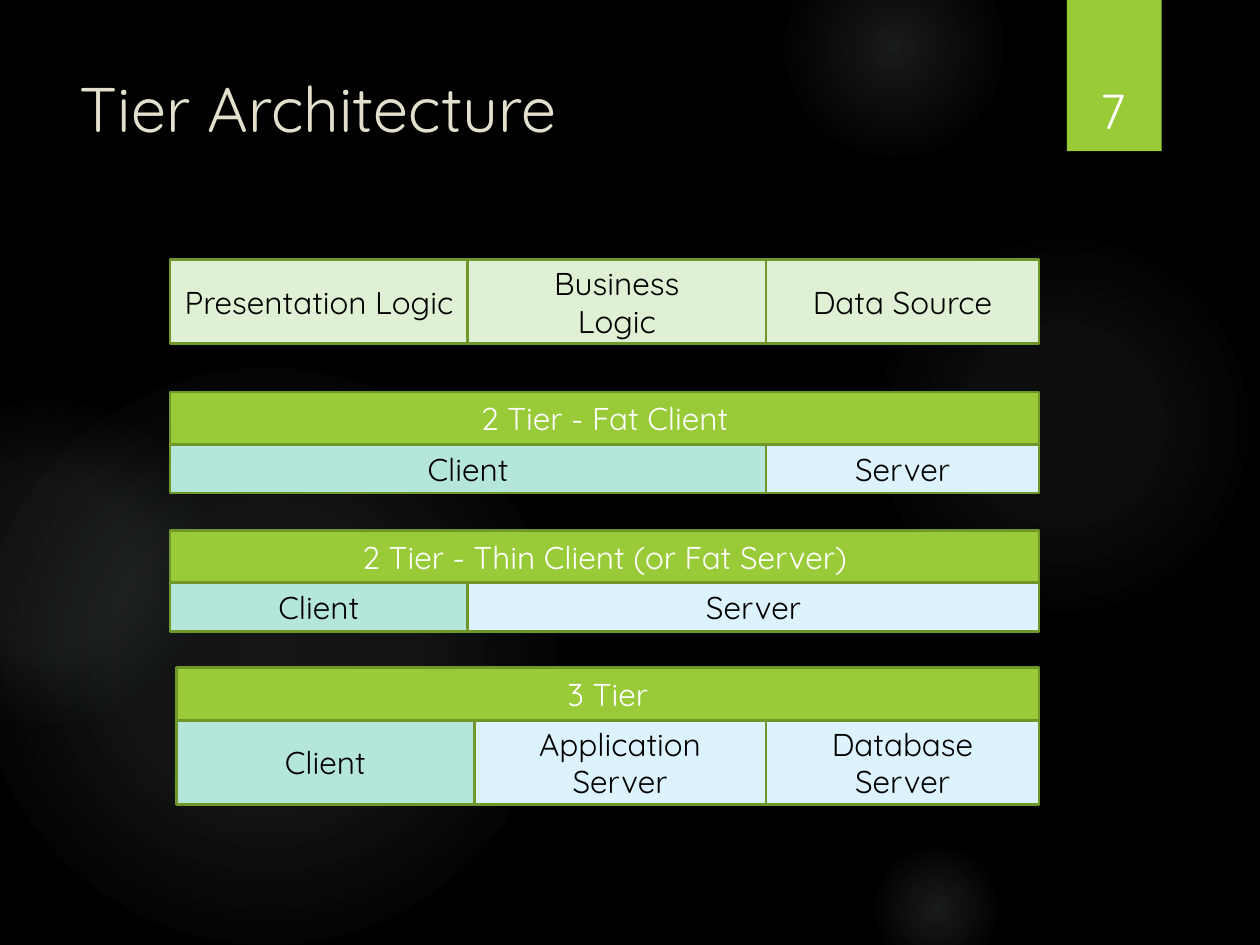
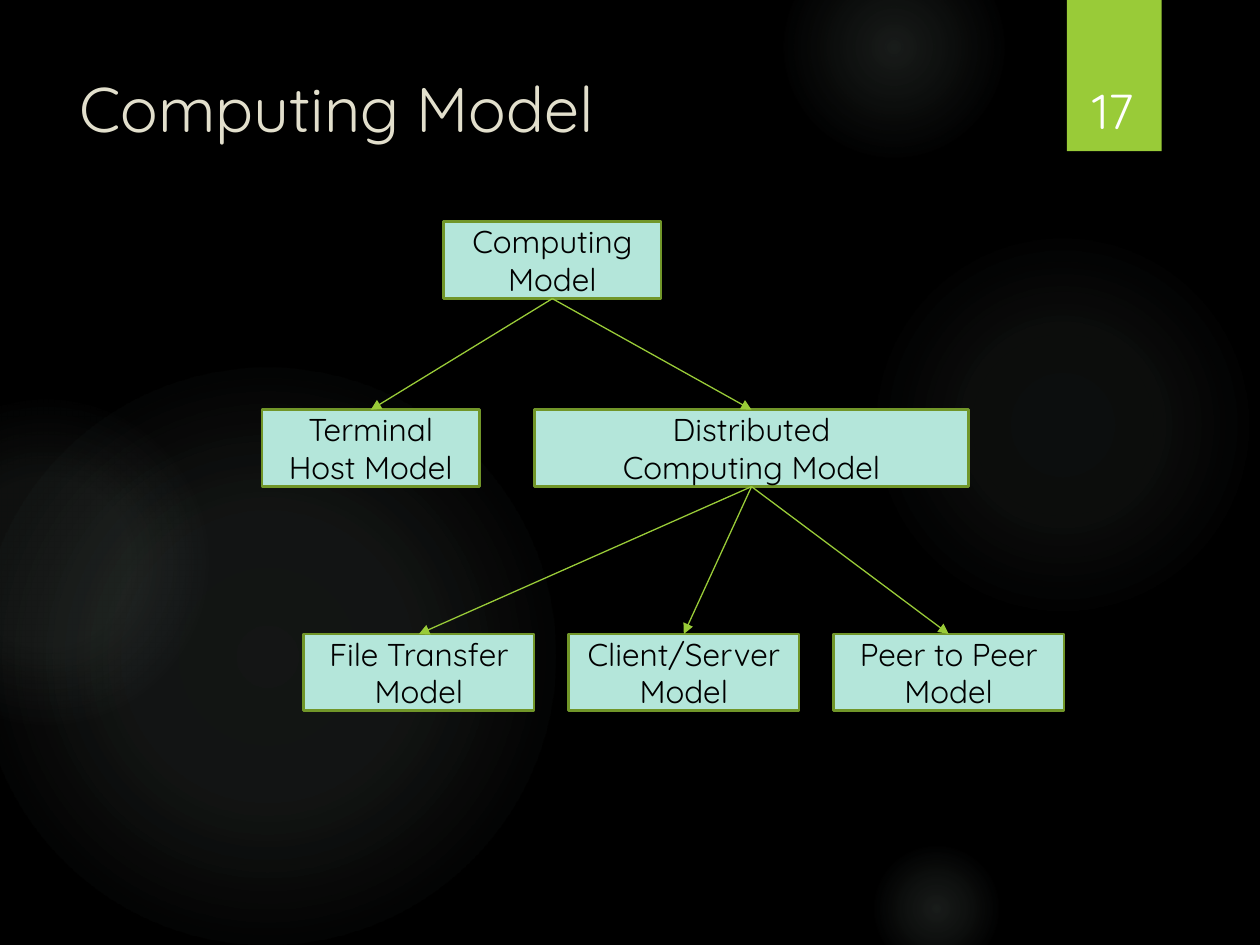
from itertools import pairwise

from lxml import etree
from pptx import Presentation
from pptx.dml.color import RGBColor
from pptx.enum.shapes import MSO_CONNECTOR as CONN, MSO_SHAPE as SHAPE
from pptx.enum.text import MSO_ANCHOR as ANCHOR, MSO_AUTO_SIZE as FIT, PP_ALIGN as ALIGN
from pptx.oxml import parse_xml
from pptx.oxml.ns import nsdecls, qn
from pptx.util import Cm, Pt

FONT = "Quicksand"
BLACK, WHITE, CREAM = "000000", "FFFFFF", "E2DFCC"
GREEN, EDGE, MIST = "99CB38", "719629", "AFC5B9"
PALE, MINT, SKY = "DFF0D4", "B4E6DA", "DCF3FE"

GLOWS = [
    (17.5, 4.65, 7.82, [(0, 7), (36, 6), (69, 0)]),
    (15.8, -1.27, 4.45, [(0, 14), (36, 7), (73, 0)]),
    (17.5, 16.94, 2.74, [(0, 14), (36, 7), (66, 0)]),
    (-0.43, 7.42, 11.63, [(0, 11), (36, 10), (75, 0)]),
    (-2.34, 8.05, 6.55, [(0, 8), (36, 8), (72, 0)]),
]
HEADER_H, ROW_H, TALL_H = 1.06, 0.98, 1.7
NODE_H = 1.55


def rgb(value):
    """Turn a hex string into a colour."""
    return RGBColor.from_string(value)


def cms(*values):
    """Turn numbers into lengths."""
    return [Cm(v) for v in values]


def apply(obj, values):
    """Set attributes from a dict."""
    for name, value in values.items():
        setattr(obj, name, value)


def write(tf, text, size, color, align=ALIGN.CENTER, anchor=ANCHOR.MIDDLE):
    """Fill a text frame, one paragraph for each line."""
    apply(tf, dict(text=text, word_wrap=True, auto_size=FIT.NONE, vertical_anchor=anchor))
    for p in tf.paragraphs:
        p.alignment = align
        for r in p.runs:
            apply(r.font, dict(name=FONT, size=Pt(size)))
            r.font.color.rgb = rgb(color)


def add_box(slide, box, fill, text, color=BLACK):
    """Draw an outlined rectangle with centred text."""
    sp = slide.shapes.add_shape(SHAPE.RECTANGLE, *cms(*box))
    sp.shadow.inherit = False
    sp.fill.solid()
    sp.fill.fore_color.rgb = rgb(fill)
    sp.line.color.rgb = rgb(EDGE)
    sp.line.width = Pt(1.5)
    write(sp.text_frame, text, 18, color)
    return sp


def add_glow(slide, x, y, size, stops):
    """Draw a circle that fades out from its centre."""
    sp = slide.shapes.add_shape(SHAPE.OVAL, *cms(x, y, size, size))
    sp.shadow.inherit = False
    sp.line.fill.background()
    sp.fill.background()
    marks = "".join(
        f'<a:gs pos="{pos * 1000}"><a:srgbClr val="{MIST}">'
        f'<a:alpha val="{alpha * 1000}"/></a:srgbClr></a:gs>' for pos, alpha in stops)
    grad = parse_xml(
        f'<a:gradFill {nsdecls("a")}><a:gsLst>{marks}</a:gsLst><a:path path="circle">'
        '<a:fillToRect l="50000" t="50000" r="50000" b="50000"/></a:path></a:gradFill>')
    spPr = sp._element.spPr
    spPr.replace(spPr.find(qn("a:noFill")), grad)
    return sp


def add_tab(slide, box):
    """Draw the green page tab with its soft shadow."""
    sp = slide.shapes.add_shape(SHAPE.RECTANGLE, *cms(*box))
    sp.fill.solid()
    sp.fill.fore_color.rgb = rgb(GREEN)
    sp.line.fill.background()
    sp._element.spPr.append(parse_xml(
        f'<a:effectLst {nsdecls("a")}><a:outerShdw blurRad="{Pt(3)}" dist="{Pt(2)}" '
        f'dir="5400000" rotWithShape="0"><a:srgbClr val="{BLACK}"><a:alpha val="45000"/>'
        '</a:srgbClr></a:outerShdw></a:effectLst>'))
    return sp


def decorate(layout, slide):
    """Give the layout its background, glows and tab, drawn by way of a slide."""
    layout.background.fill.solid()
    layout.background.fill.fore_color.rgb = rgb(BLACK)
    decor = [add_glow(slide, *glow) for glow in GLOWS]
    decor.append(add_tab(slide, (21.51, 0, 1.91, 3.05)))
    for i, sp in enumerate(decor):
        layout.shapes._spTree.insert(2 + i, sp._element)


def add_heading(slide, title, number):
    """Format the title and write the page number."""
    sp = slide.shapes.title
    apply(sp, dict(zip(("left", "top", "width", "height"), cms(1.35, 1.27, 19.6, 3.89))))
    write(sp.text_frame, title, 36, CREAM, ALIGN.LEFT, ANCHOR.TOP)
    tb = slide.shapes.add_textbox(*cms(21.56, 0.81, 1.75, 2.13))
    write(tb.text_frame, str(number), 28, WHITE, anchor=ANCHOR.BOTTOM)


def add_row(slide, y, h, edges, cells):
    """Draw a row of cells between the given edges."""
    for (x, right), (text, fill) in zip(pairwise(edges), cells):
        add_box(slide, (x, y, right - x, h), fill, text)


def add_tier(slide, y, h, edges, header, cells):
    """Draw a green header with a row of cells below it."""
    add_box(slide, (edges[0], y, edges[-1] - edges[0], HEADER_H), GREEN, header, WHITE)
    add_row(slide, y + HEADER_H, h, edges, cells)


def add_arrow(slide, parent, child):
    """Join the bottom of one node to the top of another."""
    c = slide.shapes.add_connector(CONN.STRAIGHT, 0, 0, 0, 0)
    c.begin_connect(parent, 2)
    c.end_connect(child, 0)
    c.line.color.rgb = rgb(GREEN)
    c.line.width = Pt(0.75)
    etree.SubElement(c.line._get_or_add_ln(), qn("a:tailEnd"), type="triangle")
    etree.SubElement(c._element.spPr, qn("a:effectLst"))


def tier_slide(slide):
    """Compare how each architecture divides the three layers."""
    left, mid, last, right = 3.43, 9.43, 15.44, 20.95
    add_row(slide, 5.23, TALL_H, (left, mid, last, right),
            [(t, PALE) for t in ("Presentation Logic", "Business\nLogic", "Data Source")])
    pair = [("Client", MINT), ("Server", SKY)]
    add_tier(slide, 7.9, ROW_H, (left, last, right), "2 Tier - Fat Client", pair)
    add_tier(slide, 10.69, ROW_H, (left, mid, right),
             "2 Tier - Thin Client (or Fat Server)", pair)
    add_tier(slide, 13.46, TALL_H, (left + 0.13, mid + 0.13, last, right), "3 Tier",
             [("Client", MINT), ("Application\nServer", SKY), ("Database\nServer", SKY)])


def model_slide(slide):
    """Draw the tree of computing models."""
    def node(x, y, w, text):
        return add_box(slide, (x, y, w, NODE_H), MINT, text)

    root = node(8.94, 4.47, 4.39, "Computing Model")
    host = node(5.28, 8.26, 4.39, "Terminal Host Model")
    dist = node(10.77, 8.26, 8.76, "Distributed\nComputing Model")
    names = "File Transfer Model", "Client/Server\nModel", "Peer to Peer\nModel"
    leaves = [node(6.12 + i * 5.34, 12.78, 4.65, name) for i, name in enumerate(names)]
    for parent, children in ((root, (host, dist)), (dist, leaves)):
        for child in children:
            add_arrow(slide, parent, child)


def main():
    """Build and save the presentation."""
    prs = Presentation()
    prs.slide_width, prs.slide_height = cms(25.4, 19.05)
    layout = prs.slide_layouts[5]
    pages = [("Tier Architecture", 7, tier_slide), ("Computing Model", 17, model_slide)]
    for i, (title, number, build) in enumerate(pages):
        slide = prs.slides.add_slide(layout)
        if i == 0:
            decorate(layout, slide)
        add_heading(slide, title, number)
        build(slide)
    prs.save("out.pptx")


main()
